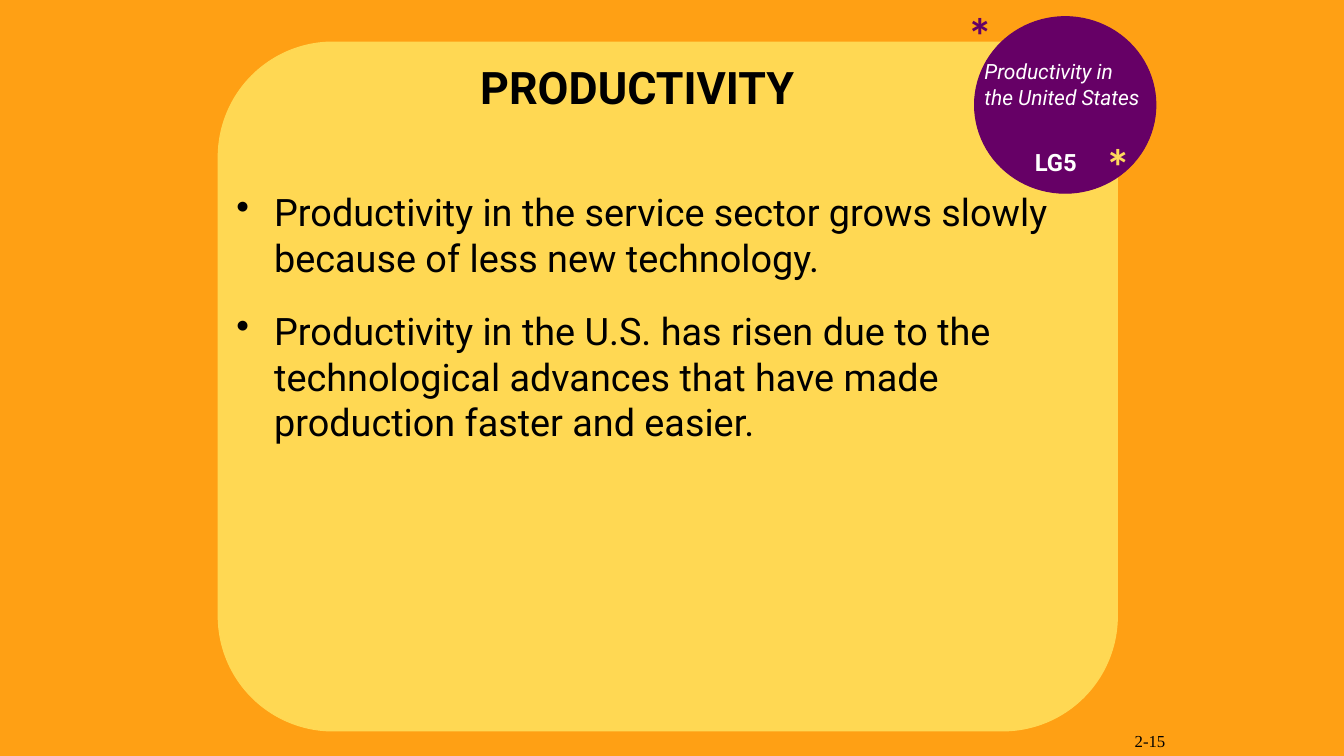
import pptx
import pptx.util
import pptx.dml.color
import pptx.enum.shapes
import pptx.enum.text
import pptx.oxml.ns
import lxml.etree

Cm = pptx.util.Cm
Pt = pptx.util.Pt
RGBColor = pptx.dml.color.RGBColor
Shapes = pptx.enum.shapes.MSO_SHAPE
Align = pptx.enum.text.PP_ALIGN
Anchor = pptx.enum.text.MSO_ANCHOR

ORANGE = RGBColor(0xFF, 0xA0, 0x14)
YELLOW = RGBColor(0xFF, 0xD8, 0x53)
STAR_YELLOW = RGBColor(0xFF, 0xD9, 0x5C)
PURPLE = RGBColor(0x66, 0x00, 0x66)
WHITE = RGBColor(0xFF, 0xFF, 0xFF)
BLACK = RGBColor(0x00, 0x00, 0x00)

BULLETS = [
    "Productivity in the service sector grows slowly because of less new technology.",
    "Productivity in the U.S. has risen due to the technological advances "
    "that have made production faster and easier.",
]


def inside(box, left, top, width, height):
    return box[0] + left, box[1] + top, width, height


def add_shape(page, kind, box, color):
    shape = page.shapes.add_shape(kind, *map(Cm, box))
    shape.shadow.inherit = False
    shape.fill.solid()
    shape.fill.fore_color.rgb = color
    shape.line.color.rgb = color
    shape.line.width = Pt(0.75)


def add_bullet(para, indent):
    properties = para._p.get_or_add_pPr()
    properties.set("marL", str(indent))
    properties.set("indent", str(-indent))
    bullet = lxml.etree.SubElement(properties, pptx.oxml.ns.qn("a:buChar"))
    bullet.set("char", "•")


def add_text(page, box, lines, size, color=BLACK, font="Roboto", bold=False,
             italic=False, align=Align.LEFT, anchor=Anchor.TOP, bulleted=False, gap=0):
    frame = page.shapes.add_textbox(*map(Cm, box)).text_frame
    frame.word_wrap = True
    frame.vertical_anchor = anchor
    for index, line in enumerate(lines):
        para = frame.add_paragraph() if index else frame.paragraphs[0]
        para.alignment = align
        para.space_before = Pt(gap if index else 0)
        if bulleted:
            add_bullet(para, Cm(0.95))
        span = para.add_run()
        span.text = line
        span.font.name = font
        span.font.size = Pt(size)
        span.font.bold = bold
        span.font.italic = italic
        span.font.color.rgb = color


def add_panel(page, box):
    add_shape(page, Shapes.ROUNDED_RECTANGLE, box, YELLOW)
    add_text(page, inside(box, -0.23, -0.92, 21.59, 4.09), ["PRODUCTIVITY"], 32,
             bold=True, align=Align.CENTER, anchor=Anchor.MIDDLE)
    add_text(page, inside(box, 0.21, 3.58, 22.43, 7.29), BULLETS, 27,
             bulleted=True, gap=20)


def add_badge(page, box):
    add_shape(page, Shapes.OVAL, box, PURPLE)
    for left, top, color in [(3.05, 2.87, STAR_YELLOW), (-0.43, -0.43, PURPLE)]:
        add_text(page, inside(box, left, top, 1.4, 1.78), ["*"], 36,
                 color=color, font="Calibri", bold=True)
    add_text(page, inside(box, 0, 0.94, 5.18, 1.52),
             ["Productivity in", "the United States"], 15, color=WHITE, italic=True)
    add_text(page, inside(box, 1.27, 3.18, 1.9, 0.97), ["LG5"], 17,
             color=WHITE, bold=True)


def add_page_number(page, box):
    add_text(page, box, ["2-15"], 12, font="Times New Roman",
             align=Align.RIGHT, anchor=Anchor.BOTTOM)


deck = pptx.Presentation()
deck.slide_width = Cm(33.87)
deck.slide_height = Cm(19.05)
page = deck.slides.add_slide(deck.slide_layouts[6])
page.background.fill.solid()
page.background.fill.fore_color.rgb = ORANGE
add_panel(page, (5.5, 1.06, 22.66, 17.36))
add_badge(page, (24.56, 0.42, 4.57, 4.45))
add_page_number(page, (24.34, 17.78, 5.28, 1.27))
deck.save("out.pptx")
